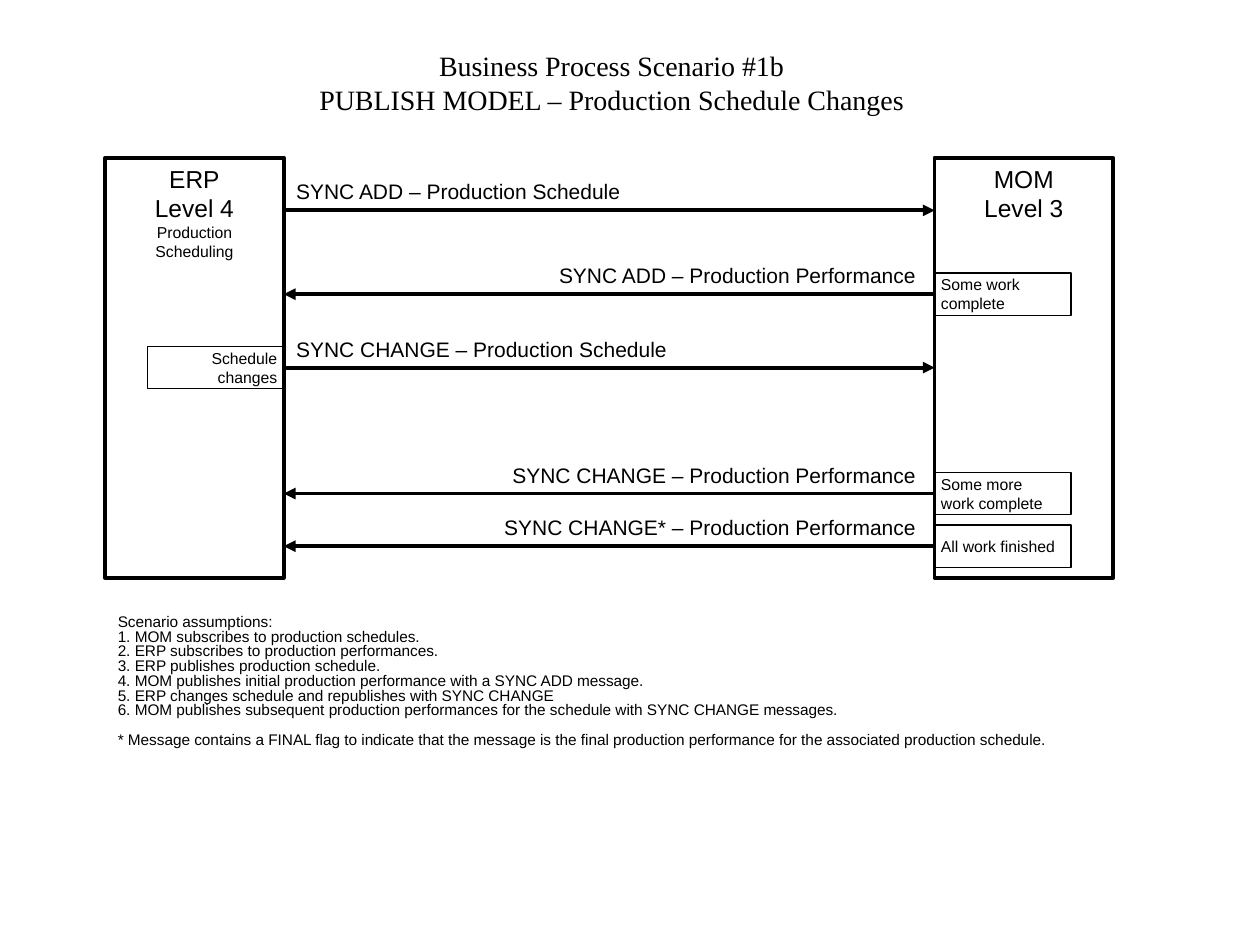
from lxml.etree import SubElement
from pptx import Presentation
from pptx.dml.color import RGBColor
from pptx.enum.shapes import MSO_CONNECTOR as Connector, MSO_SHAPE as Shape
from pptx.enum.text import MSO_ANCHOR as Anchor, MSO_AUTO_SIZE as AutoSize, PP_ALIGN as Align
from pptx.oxml.ns import qn
from pptx.util import Cm, Pt

BLACK, WHITE = "000000", "FFFFFF"
COLUMN_WIDTH, NOTE_WIDTH, NOTE_HEIGHT, LABEL_HEIGHT = 3.6, 2.75, 0.85, 0.76

TITLE = ["Business Process Scenario #1b", "PUBLISH MODEL – Production Schedule Changes"]
MESSAGES = [
    (1.06, "right", "SYNC ADD – Production Schedule", 7.06, []),
    (2.75, "left", "SYNC ADD – Production Performance", 7.72, ["Some work", "complete"]),
    (4.23, "right", "SYNC CHANGE – Production Schedule", 7.98, ["Schedule", "changes"]),
    (6.77, "left", "SYNC CHANGE – Production Performance", 8.64, ["Some more", "work complete"]),
    (7.83, "left", "SYNC CHANGE* – Production Performance", 8.81, ["All work finished"]),
]
ASSUMPTIONS = [
    "Scenario assumptions:",
    "1. MOM subscribes to production schedules.",
    "2. ERP subscribes to production performances.",
    "3. ERP publishes production schedule.",
    "4. MOM publishes initial production performance with a SYNC ADD message.",
    "5. ERP changes schedule and republishes with SYNC CHANGE",
    "6. MOM publishes subsequent production performances for the schedule with SYNC CHANGE messages.",
    "* Message contains a FINAL flag to indicate that the message is the final production "
    "performance for the associated production schedule.",
]


def color(value):
    return RGBColor.from_string(value)


def place(shape, left, top, width, height):
    shape.left, shape.top, shape.width, shape.height = map(Cm, (left, top, width, height))


def write(shape, lines, size=12, sizes=None, font="Arial", align=Align.LEFT,
          anchor=Anchor.TOP, wrap=True, inset=None):
    frame = shape.text_frame
    frame.word_wrap, frame.vertical_anchor = wrap, anchor
    frame.auto_size = AutoSize.NONE
    if inset is not None:
        frame.margin_left = frame.margin_right = Cm(inset)
        frame.margin_top = frame.margin_bottom = Cm(inset)
    frame.text = "\n".join(lines)
    for paragraph, points in zip(frame.paragraphs, sizes or [size] * len(lines)):
        paragraph.alignment = align
        paragraph.space_before = Pt(0)
        paragraph.font.name = font
        paragraph.font.size = Pt(points)
        paragraph.font.color.rgb = color(BLACK)


def add_box(slide, left, top, width, height, line_width, fill=None):
    shape = slide.shapes.add_shape(Shape.RECTANGLE, *map(Cm, (left, top, width, height)))
    shape.shadow.inherit = False
    if fill:
        shape.fill.solid()
        shape.fill.fore_color.rgb = color(fill)
    else:
        shape.fill.background()
    shape.line.color.rgb = color(BLACK)
    shape.line.width = Pt(line_width)
    return shape


def add_arrow(slide, left, right, y, direction):
    arrow = slide.shapes.add_connector(Connector.STRAIGHT, Cm(left), Cm(y), Cm(right), Cm(y))
    arrow.line.color.rgb = color(BLACK)
    arrow.line.width = Pt(2.25)
    end = "a:tailEnd" if direction == "right" else "a:headEnd"
    SubElement(arrow.line._get_or_add_ln(), qn(end), type="triangle")
    SubElement(arrow._element.spPr, qn("a:effectLst"))


def add_message(slide, left, right, y, direction, text, width, note):
    add_arrow(slide, left, right, y, direction)
    rightward = direction == "right"
    align = Align.LEFT if rightward else Align.RIGHT
    label_left = left if rightward else right - 0.12 - width
    label = slide.shapes.add_textbox(
        *map(Cm, (label_left, y - LABEL_HEIGHT, width, LABEL_HEIGHT)))
    write(label, [text], align=align, wrap=False)
    if note:
        note_left = left - NOTE_WIDTH if rightward else right
        box = add_box(slide, note_left, y - NOTE_HEIGHT / 2, NOTE_WIDTH, NOTE_HEIGHT, 0.75)
        write(box, note, size=9, align=Align.RIGHT if rightward else Align.LEFT,
              anchor=Anchor.MIDDLE, inset=0.13)


def add_sequence(slide, left, top, width, height):
    right = left + width - COLUMN_WIDTH
    columns = [
        (left, ["ERP", "Level 4", "Production Scheduling"], [14, 14, 9]),
        (right, ["MOM", "Level 3"], [14, 14]),
    ]
    for column_left, lines, sizes in columns:
        column = add_box(slide, column_left, top, COLUMN_WIDTH, height, 2.25, WHITE)
        write(column, lines, sizes=sizes, align=Align.CENTER)
    for offset, *message in MESSAGES:
        add_message(slide, left + COLUMN_WIDTH, right, top + offset, *message)


def fill_title(slide, left, top, width, height):
    title = slide.shapes.title
    place(title, left, top, width, height)
    write(title, TITLE, size=16, font="Times New Roman", align=Align.CENTER, wrap=False)


def fill_assumptions(slide, left, top, width, height):
    body = slide.placeholders[1]
    place(body, left, top, width, height)
    write(body, ASSUMPTIONS, size=8.8)
    for paragraph in body.text_frame.paragraphs:
        paragraph.line_spacing = 0.8
        properties = paragraph._p.get_or_add_pPr()
        properties.set("marL", "0")
        properties.set("indent", "0")
        bullet = SubElement(properties, qn("a:buNone"))
        properties.find(qn("a:defRPr")).addprevious(bullet)
    paragraph.space_before = Pt(8.4)


def main():
    presentation = Presentation()
    presentation.slide_width, presentation.slide_height = Cm(25.4), Cm(19.05)
    slide = presentation.slides.add_slide(presentation.slide_layouts[1])
    fill_title(slide, 6.17, 0.85, 12.32, 1.63)
    add_sequence(slide, 2.12, 3.18, 20.32, 8.47)
    fill_assumptions(slide, 2.12, 12.28, 20.32, 3.81)
    presentation.save("out.pptx")


if __name__ == "__main__":
    main()
